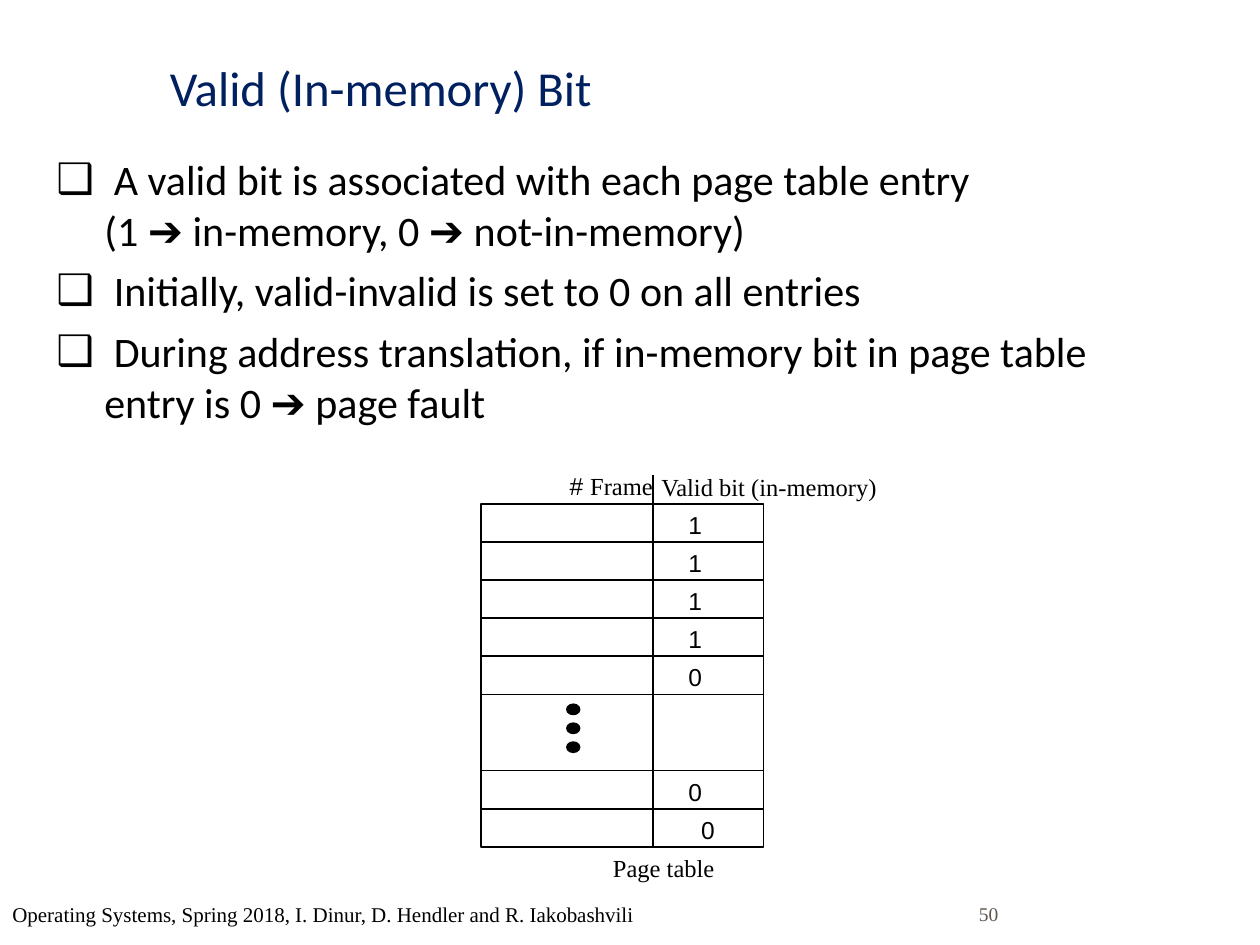
from lxml import etree
from pptx import Presentation
from pptx.dml.color import RGBColor
from pptx.enum.shapes import MSO_CONNECTOR, MSO_SHAPE
from pptx.enum.text import MSO_AUTO_SIZE, PP_ALIGN
from pptx.oxml.ns import qn
from pptx.util import Inches, Pt

STRAIGHT = MSO_CONNECTOR.STRAIGHT
RECT, DOT = MSO_SHAPE.RECTANGLE, MSO_SHAPE.FLOWCHART_CONNECTOR
FIT = MSO_AUTO_SIZE.SHAPE_TO_FIT_TEXT
RIGHT, JUSTIFY = PP_ALIGN.RIGHT, PP_ALIGN.JUSTIFY

BLACK = RGBColor(0x00, 0x00, 0x00)
NAVY = RGBColor(0x00, 0x20, 0x60)
GRAY = RGBColor(0x5E, 0x57, 0x4E)
SERIF, SANS, SYMBOL = "Times New Roman", "Calibri", "Arial"
ARROW = "➔"

# Page table: nine row heights, the dots take up two of them
LEFT, TOP, WIDTH, HEIGHT = 3.82, 4, 2.24, 2.72
ROW_H = HEIGHT / 9
DIVIDER_X = 5.18
VALID_BITS = {0: "1", 1: "1", 2: "1", 3: "1", 4: "0", 7: "0", 8: "0"}

BULLETS = [
    " A valid bit is associated with each page table entry\n"
    "(1 ➔ in-memory, 0 ➔ not-in-memory)",
    " Initially, valid-invalid is set to 0 on all entries",
    " During address translation, if in-memory bit in page table entry is 0 ➔ page fault",
]


def style(font, name, size, color):
    font.name = name
    font.size = Pt(size)
    font.color.rgb = color


def add_text(shapes, box, text, size, name=SERIF, color=BLACK, align=None, spacing=None):
    tb = shapes.add_textbox(*map(Inches, box))
    tf = tb.text_frame
    tf.word_wrap = True
    tf.text = text
    p = tf.paragraphs[0]
    p.alignment = align
    p.line_spacing = spacing
    style(p.runs[0].font, name, size, color)
    return tb


def add_rtl_label(shapes, box, text):
    tf = add_text(shapes, box, text, 14, align=RIGHT).text_frame
    tf.auto_size = FIT
    p = tf.paragraphs[0]
    p._p.get_or_add_pPr().set("rtl", "1")
    rPr = p.runs[0].font._element
    etree.SubElement(rPr, qn("a:cs")).set("typeface", SYMBOL)


def add_line(shapes, x1, y1, x2, y2):
    line = shapes.add_connector(STRAIGHT, *map(Inches, (x1, y1, x2, y2)))
    line.line.color.rgb = BLACK
    line.line.width = Pt(1)
    etree.SubElement(line._element.spPr, qn("a:effectLst"))


def add_outline(shapes, kind, box, fill=None):
    sp = shapes.add_shape(kind, *map(Inches, box))
    sp.shadow.inherit = False
    if fill is None:
        sp.fill.background()
    else:
        sp.fill.solid()
        sp.fill.fore_color.rgb = fill
    sp.line.color.rgb = BLACK
    sp.line.width = Pt(1)


def set_bullet(p):
    pPr = p._p.get_or_add_pPr()
    pPr.set("marL", str(Inches(0.38)))
    pPr.set("indent", str(-Inches(0.38)))
    color = etree.SubElement(pPr, qn("a:buClr"))
    etree.SubElement(color, qn("a:srgbClr")).set("val", str(BLACK))
    etree.SubElement(pPr, qn("a:buFont")).set("typeface", SYMBOL)
    etree.SubElement(pPr, qn("a:buChar")).set("char", "❑")


def add_run(p, text, name):
    r = p.add_run()
    r.text = text
    style(r.font, name, 24, BLACK)


def add_bullets(shapes, box, items):
    tf = shapes.add_textbox(*map(Inches, box)).text_frame
    tf.word_wrap = True
    for i, item in enumerate(items):
        p = tf.add_paragraph() if i else tf.paragraphs[0]
        set_bullet(p)
        if i:
            p.space_before = Pt(6)
        for j, line in enumerate(item.split("\n")):
            if j:
                p.add_line_break()
            # Arrows get their own font
            for k, part in enumerate(line.split(ARROW)):
                if k:
                    add_run(p, ARROW, SYMBOL)
                add_run(p, part, SANS)


def add_page_table(shapes):
    # Frame and rules
    add_line(shapes, DIVIDER_X, 3.77, DIVIDER_X, TOP + HEIGHT)
    add_outline(shapes, RECT, (LEFT, TOP, WIDTH, HEIGHT))
    for row in (1, 2, 3, 4, 5, 7, 8):
        y = TOP + row * ROW_H
        add_line(shapes, LEFT, y, LEFT + WIDTH, y)

    # Valid bits; the last one sits in a wider box
    for row, bit in VALID_BITS.items():
        width = 0.39 if row == 8 else 0.29
        add_rtl_label(shapes, (5.38, TOP + row * ROW_H, width, 0.34), bit)

    # Dots for the omitted rows
    for i in range(3):
        add_outline(shapes, DOT, (4.5, 5.59 + i * 0.15, 0.1, 0.08), BLACK)

    # Heading and caption
    add_rtl_label(shapes, (4.04, 3.69, 1.24, 0.34), "Frame #")
    add_rtl_label(shapes, (4.31, TOP + HEIGHT, 1.46, 0.34), "Page table")


def main():
    prs = Presentation()
    prs.slide_width, prs.slide_height = Inches(10), Inches(7.5)
    s = prs.slides.add_slide(prs.slide_layouts[6])
    shapes = s.shapes

    # Page number and footer
    add_text(shapes, (7.67, 7.13, 2, 0.3), "50", 11.1, color=GRAY,
             align=JUSTIFY, spacing=0.9)
    add_text(shapes, (0, 7.11, 10, 0.5),
             "Operating Systems, Spring 2018, I. Dinur, D. Hendler and R. Iakobashvili", 12)

    # Title and body
    add_text(shapes, (1.25, 0.5, 7.5, 0.58), "Valid (In-memory) Bit", 27.9,
             SANS, NAVY, spacing=0.8)
    add_bullets(shapes, (0.35, 1.17, 8.86, 2.35), BULLETS)

    # Page table drawing
    add_page_table(shapes.add_group_shape().shapes)
    heading = add_text(shapes, (5.15, 3.7, 2.29, 0.34), "Valid bit (in-memory)", 14)
    heading.text_frame.auto_size = FIT

    prs.save("out.pptx")


if __name__ == "__main__":
    main()
